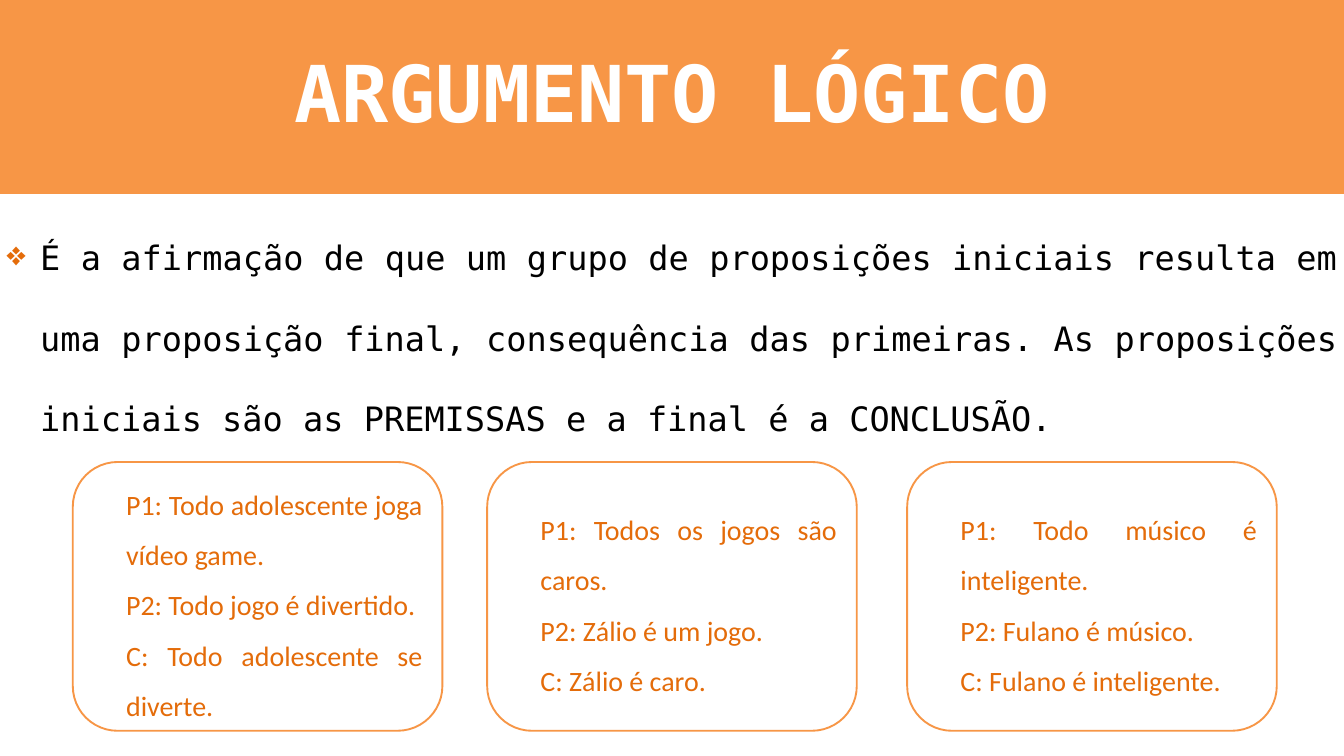
from lxml import etree
from pptx import Presentation
from pptx import util as u
from pptx.dml.color import RGBColor
from pptx.enum import shapes, text
from pptx.oxml.ns import qn

PX = 9525
COLORS = {"orange": "F79646", "dark": "E46C0A", "white": "FFFFFF", "black": "000000"}
MONO = "DejaVu Sans Mono"
EXAMPLES = [
    (104, ["P1: Todo adolescente joga vídeo game.",
           "P2: Todo jogo é divertido.",
           "C: Todo adolescente se diverte."]),
    (696, ["P1: Todos os jogos são caros.",
           "P2: Zálio é um jogo.",
           "C: Zálio é caro."]),
    (1296, ["P1: Todo músico é inteligente.",
            "P2: Fulano é músico.",
            "C: Fulano é inteligente."]),
]


def add_panel(s, kind, box, fill):
    sp = s.shapes.add_shape(kind, *[v * PX for v in box])
    sp.shadow.inherit = False
    sp.fill.solid()
    sp.fill.fore_color.rgb = RGBColor.from_string(COLORS[fill])
    sp.line.color.rgb = RGBColor.from_string(COLORS["orange"])
    sp.line.width = u.Pt(2)
    return sp


def style(p, font, size, color, align, spacing, bold=False):
    p.alignment = align
    p.line_spacing = spacing
    for r in p.runs:
        r.font.name = font
        r.font.size = u.Pt(size)
        r.font.bold = bold
        r.font.color.rgb = RGBColor.from_string(COLORS[color])


prs = Presentation()
prs.slide_width = 1920 * PX
prs.slide_height = 1080 * PX
s = prs.slides.add_slide(prs.slide_layouts[6])

add_panel(s, shapes.MSO_SHAPE.RECTANGLE, (0, 0, 1920, 276), "orange")

title = s.shapes.add_textbox(0, 76 * PX, 1920 * PX, 123 * PX)
tf = title.text_frame
tf.word_wrap = True
tf.margin_left = tf.margin_right = tf.margin_top = tf.margin_bottom = 0
tf.text = "ARGUMENTO LÓGICO"
style(tf.paragraphs[0], MONO, 84, "white", text.PP_ALIGN.CENTER, u.Pt(91.2), True)

definition = s.shapes.add_textbox(0, 276 * PX, 1920 * PX, 342 * PX)
tf = definition.text_frame
tf.word_wrap = True
tf.text = ("É a afirmação de que um grupo de proposições iniciais resulta em uma "
           "proposição final, consequência das primeiras. As proposições iniciais "
           "são as PREMISSAS e a final é a CONCLUSÃO.")
p = tf.paragraphs[0]
style(p, MONO, 36, "black", text.PP_ALIGN.JUSTIFY, 2.0)
pPr = p._p.get_or_add_pPr()
pPr.set("marL", str(48 * PX))
pPr.set("indent", str(-48 * PX))
bullet_color = etree.SubElement(pPr, qn("a:buClr"))
etree.SubElement(bullet_color, qn("a:srgbClr"), val=COLORS["dark"])
etree.SubElement(pPr, qn("a:buChar"), char="❖")

for left, lines in EXAMPLES:
    sp = add_panel(s, shapes.MSO_SHAPE.ROUNDED_RECTANGLE, (left, 660, 528, 384), "white")
    tf = sp.text_frame
    tf.word_wrap = True
    tf.vertical_anchor = text.MSO_ANCHOR.MIDDLE
    tf.text = "\n".join(lines)
    for p in tf.paragraphs:
        style(p, "Calibri", 30, "dark", text.PP_ALIGN.JUSTIFY, 1.5)
        p.level = 1
        pPr = p._p.get_or_add_pPr()
        pPr.set("marL", str(48 * PX))
        pPr.set("indent", "0")

prs.save("out.pptx")
